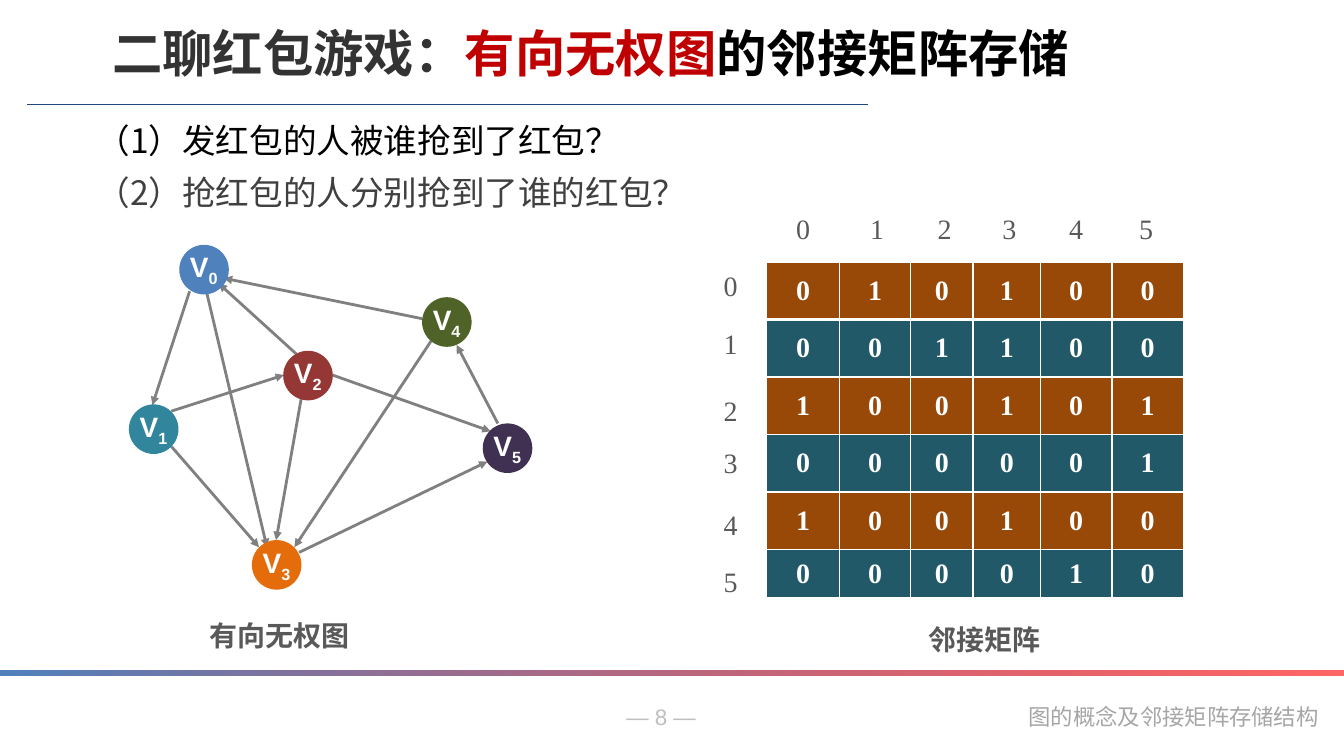
from lxml import etree
from pptx import Presentation
from pptx.dml.color import RGBColor
from pptx.enum.shapes import MSO_CONNECTOR, MSO_SHAPE
from pptx.enum.text import MSO_ANCHOR, MSO_AUTO_SIZE, PP_ALIGN
from pptx.oxml.ns import qn
from pptx.util import Cm, Pt

STRAIGHT = MSO_CONNECTOR.STRAIGHT
OVAL, RECTANGLE = MSO_SHAPE.OVAL, MSO_SHAPE.RECTANGLE
LEFT, CENTER, JUSTIFY = PP_ALIGN.LEFT, PP_ALIGN.CENTER, PP_ALIGN.JUSTIFY
TOP, MIDDLE = MSO_ANCHOR.TOP, MSO_ANCHOR.MIDDLE
NO_FIT, GROW = MSO_AUTO_SIZE.NONE, MSO_AUTO_SIZE.SHAPE_TO_FIT_TEXT

SANS, CJK, MONO, SERIF = "Arial", "Noto Sans CJK SC", "Noto Sans Mono", "Times New Roman"
COLORS = {
    "white": "FFFFFF", "black": "000000", "heading": "333333", "red": "C00000",
    "question": "404040", "caption": "595959", "edge": "808080", "number": "BFBFBF",
    "footer": "A6A6A6", "rule": "1F497D", "band start": "4F81BD", "band end": "FF0000",
    "odd row": "984807", "even row": "215968",
    "V0": "4F81BD", "V1": "31859C", "V2": "953735",
    "V3": "E46C0A", "V4": "4F6228", "V5": "403152",
}
NODE_SIZE = 1.25
NODES = [(4.52, 6.17), (3.25, 10.19), (7.14, 8.84), (6.35, 13.61), (10.64, 7.49), (12.17, 10.67)]
# (from node, to node): start x, start y, end x, end y
EDGES = {
    (2, 5): (8.38, 9.45, 12.37, 10.87),
    (4, 3): (10.87, 8.59, 7.42, 13.79),
    (1, 3): (4.32, 11.25, 6.53, 13.79),
    (3, 5): (7.54, 13.92, 12.29, 11.63),
    (4, 0): (10.64, 8.03, 5.64, 7.01),
    (0, 1): (4.78, 7.34, 3.84, 10.21),
    (1, 2): (4.32, 10.36, 7.16, 9.45),
    (2, 0): (7.47, 8.92, 5.51, 7.14),
    (2, 3): (7.59, 10.06, 6.96, 13.61),
    (0, 3): (5.21, 7.37, 6.73, 13.79),
    (5, 4): (12.55, 10.67, 11.51, 8.69),
}


def rgb(name):
    return RGBColor.from_string(COLORS[name])


class SlideBuilder:
    def __init__(self, page):
        self.page = page

    def style(self, span, size, font, color, bold=False):
        span.font.size, span.font.name, span.font.bold = Pt(size), font, bold
        span.font.color.rgb = rgb(color)
        east_asian = etree.Element(qn("a:ea"), typeface=font)
        span.font._element.find(qn("a:latin")).addnext(east_asian)

    def placeholder(self, index, area, paragraphs, size, align, anchor, spacing, bold):
        """Move a placeholder and fill it; each paragraph is a list of (text, color)."""
        box = self.page.placeholders[index]
        box.left, box.top, box.width, box.height = map(Cm, area)
        frame = box.text_frame
        frame.word_wrap, frame.auto_size, frame.vertical_anchor = True, NO_FIT, anchor
        for number, spans in enumerate(paragraphs):
            para = frame.add_paragraph() if number else frame.paragraphs[0]
            properties = para._p.get_or_add_pPr()
            properties.set("marL", "0")
            properties.set("indent", "0")
            etree.SubElement(properties, qn("a:buNone"))
            para.alignment, para.line_spacing = align, spacing
            para.space_before = Pt(0)
            for text, color in spans:
                span = para.add_run()
                span.text = text
                self.style(span, size, CJK, color, bold)

    def text(self, area, text, size, font, color, bold=False, wrap=True):
        box = self.page.shapes.add_textbox(*map(Cm, area))
        frame = box.text_frame
        frame.text = text
        frame.word_wrap, frame.auto_size = wrap, GROW
        para = frame.paragraphs[0]
        self.style(para.runs[0], size, font, color, bold)
        return para

    def shape(self, kind, area, color):
        shape = self.page.shapes.add_shape(kind, *map(Cm, area))
        shape.shadow.inherit = False
        shape.line.fill.background()
        shape.fill.solid()
        shape.fill.fore_color.rgb = rgb(color)
        return shape

    def band(self, area):
        """Bar fading from left to right into a translucent colour."""
        fill = self.shape(RECTANGLE, area, "band start")
        fill.fill.gradient()
        fill.fill.gradient_angle = 0
        for stop, color in zip(fill.fill.gradient_stops, ("band start", "band end")):
            stop.color.rgb = rgb(color)
        last_color = fill._element.findall(".//" + qn("a:gs"))[-1][0]
        etree.SubElement(last_color, qn("a:alpha"), val="60000")

    def line(self, ends, color, width, arrow=False):
        line = self.page.shapes.add_connector(STRAIGHT, *map(Cm, ends))
        line.line.color.rgb = rgb(color)
        line.line.width = Pt(width)
        if arrow:
            etree.SubElement(line.line._get_or_add_ln(), qn("a:tailEnd"), type="triangle")
        etree.SubElement(line._element.spPr, qn("a:effectLst"))

    def node(self, number, left, top):
        self.shape(OVAL, (left, top, NODE_SIZE, NODE_SIZE), f"V{number}")
        para = self.text((left + 0.02, top, 1.37, 1.12), "V", 20, SANS, "white", True)
        subscript = para.add_run()
        subscript.text = str(number)
        self.style(subscript, 20, SANS, "white", True)
        subscript.font._element.set("baseline", "-25000")

    def border(self, cell, side, width):
        line = etree.SubElement(cell._tc.get_or_add_tcPr(), qn(f"a:{side}"), w=str(Pt(width)))
        fill = etree.SubElement(line, qn("a:solidFill"))
        etree.SubElement(fill, qn("a:srgbClr"), val=COLORS["white"])

    def table(self, left, top, widths, heights, values, color, fills,
              bold=False, anchor=TOP, spacing=1.0):
        """Grid of numbers; the fills alternate from row to row."""
        area = (left, top, sum(widths), sum(heights))
        table = self.page.shapes.add_table(len(heights), len(widths), *map(Cm, area)).table
        table.first_row = table.horz_banding = False
        for column, width in zip(table.columns, widths):
            column.width = Cm(width)
        for index, (row, height) in enumerate(zip(table.rows, heights)):
            row.height = Cm(height)
            for cell, value in zip(row.cells, values[index]):
                cell.text = str(value)
                cell.vertical_anchor = anchor
                for side in ("lnL", "lnR", "lnT", "lnB"):
                    thick = (index, side) in ((0, "lnB"), (1, "lnT"))
                    self.border(cell, side, 3 if thick else 1)
                cell.fill.solid()
                cell.fill.fore_color.rgb = rgb(fills[index % len(fills)])
                para = cell.text_frame.paragraphs[0]
                para.alignment, para.line_spacing = CENTER, spacing
                self.style(para.runs[0], 20, SERIF, color, bold)


def main():
    deck = Presentation()
    deck.slide_width, deck.slide_height = Cm(33.88), Cm(19.05)
    slide = SlideBuilder(deck.slides.add_slide(deck.slide_layouts[1]))

    slide.text((15.54, 17.6, 2.97, 0.94), "— 8 —", 16, SANS, "number", wrap=False)
    slide.text((25.68, 17.6, 7.92, 0.94), "图的概念及邻接矩阵存储结构", 16, MONO, "footer", wrap=False)
    slide.line((0.69, 2.64, 21.89, 2.64), "rule", 1)
    slide.band((0, 16.89, 33.88, 0.13))

    title = [[("二聊红包游戏：", "heading"), ("有向无权图", "red"), ("的邻接矩阵存储", "black")]]
    questions = [[("（1）发红包的人被谁抢到了红包？", "black")],
                 [("（2）抢红包的人分别抢到了谁的红包？", "question")]]
    slide.placeholder(0, (2.57, 0.43, 27.89, 1.8), title, 36, LEFT, MIDDLE, 1.0, True)
    slide.placeholder(1, (2.18, 2.59, 15.74, 2.79), questions, 24, JUSTIFY, TOP, 1.3, False)

    for ends in EDGES.values():
        slide.line(ends, "edge", 2, arrow=True)
    for number, (left, top) in enumerate(NODES):
        slide.node(number, left, top)

    labels = range(len(NODES))
    matrix = [[int((start, end) in EDGES) for end in labels] for start in labels]
    slide.table(19.33, 6.6, [1.83, 1.8, 1.57, 1.7, 1.8, 1.8], [1.45] * 5 + [1.22], matrix,
                "white", ("odd row", "even row"), bold=True, anchor=MIDDLE)
    slide.table(17.73, 6.63, [1.37], [1.47, 1.68, 1.32, 1.55, 1.45, 2.39],
                [[label] for label in labels], "caption", ("white",), spacing=1.1)
    slide.table(19.23, 5.28, [2.03, 1.7, 1.7, 1.57, 1.8, 1.73], [0.97], [labels],
                "caption", ("white",))

    slide.text((5.03, 15.47, 4.29, 1.12), "有向无权图", 20, SANS, "caption", True)
    slide.text((23.16, 15.57, 4.29, 1.12), "邻接矩阵", 20, SANS, "caption", True)
    deck.save("out.pptx")


if __name__ == "__main__":
    main()
